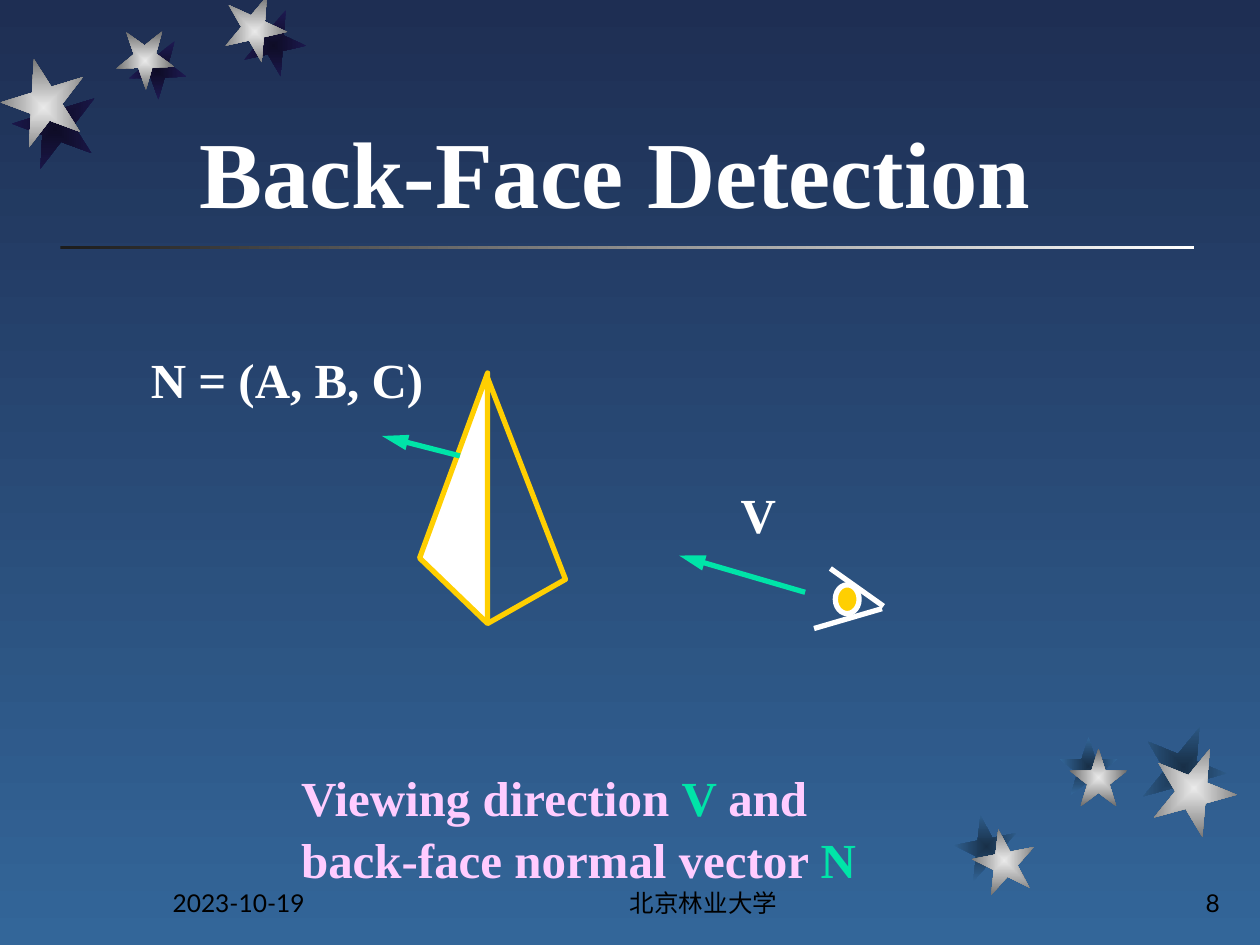
from dataclasses import dataclass

import lxml.etree
import pptx
import pptx.dml.color
import pptx.dml.fill
import pptx.enum.shapes
import pptx.enum.text
import pptx.oxml.ns
import pptx.shapes.base
import pptx.slide
import pptx.text.text
import pptx.util

Cm = pptx.util.Cm
Shape = pptx.enum.shapes.MSO_SHAPE
Align = pptx.enum.text.PP_ALIGN
Anchor = pptx.enum.text.MSO_ANCHOR
Point = tuple[float, float]
Gradient = tuple[str, str]


@dataclass(frozen=True)
class Theme:
    background: Gradient = ("1E2E53", "336699")
    rule: Gradient = ("1C1C1C", "FFFFFF")
    star: Gradient = ("EAEAEA", "6C6C6C")
    top_shadow: Gradient = ("0E0C26", "1E1A53")
    bottom_shadow: Gradient = ("182F47", "336699")
    white: str = "FFFFFF"
    black: str = "000000"
    yellow: str = "FFCF01"
    green: str = "00E4A8"
    pink: str = "FFCCFF"
    serif: str = "Times New Roman"
    sans: str = "Lato"
    title_size: float = 54
    label_size: float = 28
    footer_size: float = 14
    line_width: float = 3


THEME = Theme()


@dataclass(frozen=True)
class Star:
    left: float
    top: float
    size: float
    rotation: float
    shadow_x: float
    shadow_y: float
    shadow: Gradient


@dataclass(frozen=True)
class Segment:
    start: Point
    end: Point
    color: str
    arrow: bool = False


@dataclass(frozen=True)
class Label:
    left: float
    top: float
    width: float
    height: float
    runs: tuple[tuple[str, str], ...]


@dataclass(frozen=True)
class Footer:
    left: float
    width: float
    text: str
    alignment: Align


STARS = (
    Star(4.5, 0, 1.27, 167.3, 0.38, 0.28, THEME.top_shadow),
    Star(2.34, 0.64, 1.17, 178.3, 0.25, 0.2, THEME.top_shadow),
    Star(0.03, 1.32, 1.7, 200.3, 0.23, 0.43, THEME.top_shadow),
    Star(19.61, 16.71, 1.27, 349, -0.36, -0.28, THEME.bottom_shadow),
    Star(21.56, 15.09, 1.17, 0, -0.2, -0.23, THEME.bottom_shadow),
    Star(23.22, 15.04, 1.7, 22, -0.21, -0.43, THEME.bottom_shadow),
)
VECTORS = (
    Segment((7.7, 8.79), (9.27, 9.19), THEME.green, arrow=True),
    Segment((13.69, 11.2), (16.23, 11.94), THEME.green, arrow=True),
)
EYELIDS = (
    Segment((17.78, 12.27), (16.41, 12.67), THEME.white),
    Segment((16.74, 11.46), (17.81, 12.22), THEME.white),
)
BACK_FACE = ((8.46, 11.25), (9.83, 12.57), (9.83, 7.52))
FRONT_FACE = ((9.83, 7.62), (11.4, 11.68), (9.83, 12.57))
LABELS = (
    Label(5.82, 15.29, 12.73, 2.64, (
        ("Viewing direction ", THEME.pink), ("V ", THEME.green),
        ("and back-face normal vector ", THEME.pink), ("N", THEME.green))),
    Label(14.68, 9.58, 1.78, 1.45, (("V", THEME.white),)),
    Label(2.79, 6.86, 6.22, 1.45, (("N = (A, B, C)", THEME.white),)),
)
FOOTERS = (
    Footer(3.23, 5.28, "2023-10-19", Align.LEFT),
    Footer(10.16, 8.05, "北京林业大学", Align.CENTER),
    Footer(19.56, 5.28, "8", Align.RIGHT),
)


def rgb(color: str) -> pptx.dml.color.RGBColor:
    return pptx.dml.color.RGBColor.from_string(color)


def fill_gradient(fill: pptx.dml.fill.FillFormat, colors: Gradient, angle: float = 0) -> None:
    fill.gradient()
    fill.gradient_angle = angle
    for stop, color, position in zip(fill.gradient_stops, colors, (0, 1)):
        stop.color.rgb = rgb(color)
        stop.position = position


def radiate_gradient(shape: pptx.shapes.base.BaseShape) -> None:
    """Turn the shape's linear gradient into one that spreads from its centre."""
    qn = pptx.oxml.ns.qn
    gradient = shape._element.spPr.find(qn("a:gradFill"))
    gradient.remove(gradient.find(qn("a:lin")))
    spread = lxml.etree.SubElement(gradient, qn("a:path"), path="rect")
    lxml.etree.SubElement(spread, qn("a:fillToRect"), l="50000", t="50000", r="50000", b="50000")


def add_plain_shape(slide: pptx.slide.Slide, kind: Shape, left: float, top: float,
                    width: float, height: float) -> pptx.shapes.base.BaseShape:
    shape = slide.shapes.add_shape(kind, Cm(left), Cm(top), Cm(width), Cm(height))
    shape.shadow.inherit = False
    shape.line.fill.background()
    return shape


def add_star(slide: pptx.slide.Slide, star: Star) -> None:
    for x, y, colors in ((star.shadow_x, star.shadow_y, star.shadow), (0, 0, THEME.star)):
        shape = add_plain_shape(slide, Shape.STAR_5_POINT, star.left + x, star.top + y,
                                star.size, star.size)
        shape.rotation = star.rotation
        fill_gradient(shape.fill, colors)
        radiate_gradient(shape)


def set_line(shape: pptx.shapes.base.BaseShape, color: str) -> None:
    shape.line.color.rgb = rgb(color)
    shape.line.width = pptx.util.Pt(THEME.line_width)


def add_face(slide: pptx.slide.Slide, points: tuple[Point, ...], filled: bool) -> None:
    corners = [(Cm(x), Cm(y)) for x, y in points]
    builder = slide.shapes.build_freeform(*corners[0])
    builder.add_line_segments(corners[1:], close=filled)
    face = builder.convert_to_shape()
    face.shadow.inherit = False
    if filled:
        face.fill.solid()
        face.fill.fore_color.rgb = rgb(THEME.white)
    else:
        face.fill.background()
    set_line(face, THEME.yellow)


def add_segment(slide: pptx.slide.Slide, segment: Segment) -> None:
    qn = pptx.oxml.ns.qn
    ends = [Cm(value) for value in segment.start + segment.end]
    connector = slide.shapes.add_connector(pptx.enum.shapes.MSO_CONNECTOR.STRAIGHT, *ends)
    set_line(connector, segment.color)
    if segment.arrow:
        lxml.etree.SubElement(connector.line._get_or_add_ln(), qn("a:headEnd"),
                              type="triangle", w="med", len="lg")
    lxml.etree.SubElement(connector._element.spPr, qn("a:effectLst"))


def add_text_frame(slide: pptx.slide.Slide, left: float, top: float, width: float,
                   height: float) -> pptx.text.text.TextFrame:
    frame = slide.shapes.add_textbox(Cm(left), Cm(top), Cm(width), Cm(height)).text_frame
    frame.word_wrap = True
    return frame


def set_font(font: pptx.text.text.Font, name: str, size: float, bold: bool) -> None:
    font.name = name
    font.size = pptx.util.Pt(size)
    font.bold = bold


def add_label(slide: pptx.slide.Slide, label: Label) -> None:
    frame = add_text_frame(slide, label.left, label.top, label.width, label.height)
    paragraph = frame.paragraphs[0]
    paragraph.line_spacing = 1.05
    set_font(paragraph.font, THEME.serif, THEME.label_size, True)
    for text, color in label.runs:
        run = paragraph.add_run()
        run.text = text
        run.font.color.rgb = rgb(color)


def add_footer(slide: pptx.slide.Slide, footer: Footer) -> None:
    frame = add_text_frame(slide, footer.left, 17.35, footer.width, 1.27)
    frame.vertical_anchor = Anchor.BOTTOM
    paragraph = frame.paragraphs[0]
    paragraph.text = footer.text
    paragraph.alignment = footer.alignment
    set_font(paragraph.font, THEME.sans, THEME.footer_size, False)
    paragraph.font.color.rgb = rgb(THEME.black)


def set_title(slide: pptx.slide.Slide, text: str) -> None:
    title = slide.shapes.title
    title.left, title.top, title.width, title.height = Cm(3.76), Cm(0.66), Cm(17.81), Cm(4.06)
    frame = title.text_frame
    frame.text = text
    frame.auto_size = pptx.enum.text.MSO_AUTO_SIZE.NONE
    frame.vertical_anchor = Anchor.BOTTOM
    paragraph = frame.paragraphs[0]
    paragraph.alignment = Align.LEFT
    set_font(paragraph.font, THEME.serif, THEME.title_size, True)
    paragraph.font.color.rgb = rgb(THEME.white)


def main() -> None:
    presentation = pptx.Presentation()
    presentation.slide_width, presentation.slide_height = Cm(25.4), Cm(19.05)
    slide = presentation.slides.add_slide(presentation.slide_layouts.get_by_name("Title Only"))
    fill_gradient(slide.background.fill, THEME.background, 270)
    set_title(slide, "Back-Face Detection")
    rule = add_plain_shape(slide, Shape.RECTANGLE, 1.22, 4.95, 22.86, 0.08)
    fill_gradient(rule.fill, THEME.rule)
    for star in STARS:
        add_star(slide, star)
    for footer in FOOTERS:
        add_footer(slide, footer)
    add_face(slide, BACK_FACE, filled=True)
    add_face(slide, FRONT_FACE, filled=False)
    for segment in VECTORS + EYELIDS:
        add_segment(slide, segment)
    eye = add_plain_shape(slide, Shape.OVAL, 16.84, 11.79, 0.48, 0.58)
    eye.fill.solid()
    eye.fill.fore_color.rgb = rgb(THEME.yellow)
    set_line(eye, THEME.white)
    for label in LABELS:
        add_label(slide, label)
    presentation.save("out.pptx")


if __name__ == "__main__":
    main()
